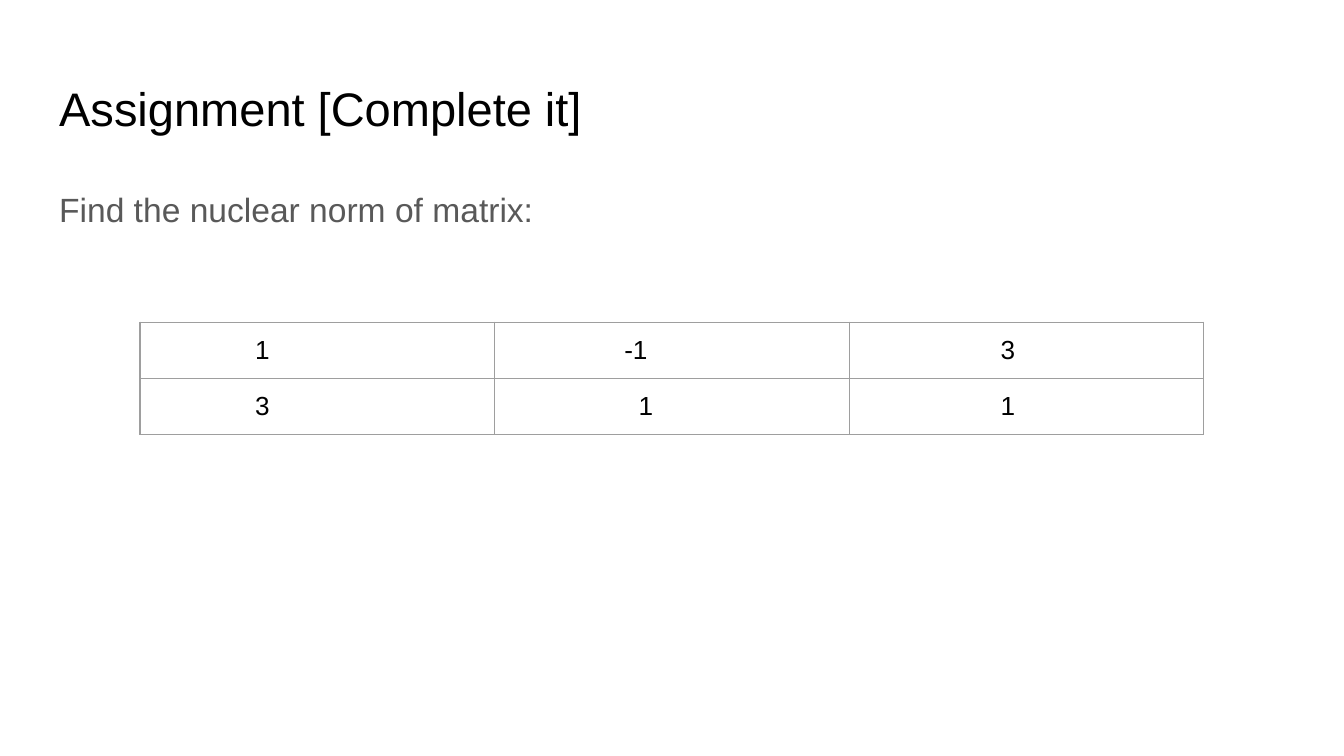
from pptx import Presentation
from pptx.dml.color import RGBColor
from pptx.enum import text
from pptx.oxml import parse_xml
from pptx.oxml.ns import nsdecls
from pptx.util import Pt

PAD = 7.2


def write(frame, words, size=14, color="000000", space=1.0):
    frame.word_wrap = True
    para = frame.paragraphs[0]
    para.alignment = text.PP_ALIGN.LEFT
    para.line_spacing = space
    para.space_before = Pt(0)
    run = para.add_run()
    run.text = words
    run.font.size = Pt(size)
    run.font.name = "Arial"
    run.font.color.rgb = RGBColor.from_string(color)
    return para


def place(box, left, top, width, height, anchor):
    box.left, box.top = Pt(left), Pt(top)
    box.width, box.height = Pt(width), Pt(height)
    frame = box.text_frame
    frame.auto_size = text.MSO_AUTO_SIZE.NONE
    frame.vertical_anchor = anchor
    frame.margin_left = frame.margin_right = Pt(PAD)
    frame.margin_top = frame.margin_bottom = Pt(PAD)
    return frame


deck = Presentation()
deck.slide_width, deck.slide_height = Pt(720), Pt(405)
slide = deck.slides.add_slide(deck.slide_layouts[1])

# Title
frame = place(slide.shapes.title, 24.5, 35.1, 671, 45.1, text.MSO_ANCHOR.BOTTOM)
write(frame, "Assignment [Complete it]", size=25.2)

# Task, without a bullet
frame = place(slide.placeholders[1], 24.5, 90.7, 671, 269, text.MSO_ANCHOR.TOP)
para = write(frame, "Find the nuclear norm of matrix:", size=18,
             color="595959", space=1.15)
props = para._p.get_or_add_pPr()
props.set("marL", "0")
props.set("indent", "0")
props.append(parse_xml(f"<a:buNone {nsdecls('a')}/>"))

# Matrix: each entry with its indent from the cell's left padding
matrix = [
    [("1", 54.5), ("-1", 62.25), ("3", 73.9)],
    [("3", 54.5), ("1", 70), ("1", 73.9)],
]
grid = slide.shapes.add_table(2, 3, Pt(75), Pt(172.6), Pt(570), Pt(60.4)).table
grid.first_row = grid.horz_banding = False
for col in grid.columns:
    col.width = Pt(190)
for r, row in enumerate(matrix):
    grid.rows[r].height = Pt(30.2)
    for c, (value, indent) in enumerate(row):
        cell = grid.cell(r, c)
        cell.margin_left = Pt(PAD + indent)
        cell.margin_right = cell.margin_top = cell.margin_bottom = Pt(PAD)
        write(cell.text_frame, value)
        # Borders come before the fill in the cell properties
        edges = cell._tc.get_or_add_tcPr()
        for side in ("lnL", "lnR", "lnT", "lnB"):
            edges.append(parse_xml(
                f'<a:{side} {nsdecls("a")} w="{Pt(0.75)}"><a:solidFill>'
                f'<a:srgbClr val="9E9E9E"/></a:solidFill></a:{side}>'))
        cell.fill.background()

deck.save("out.pptx")
